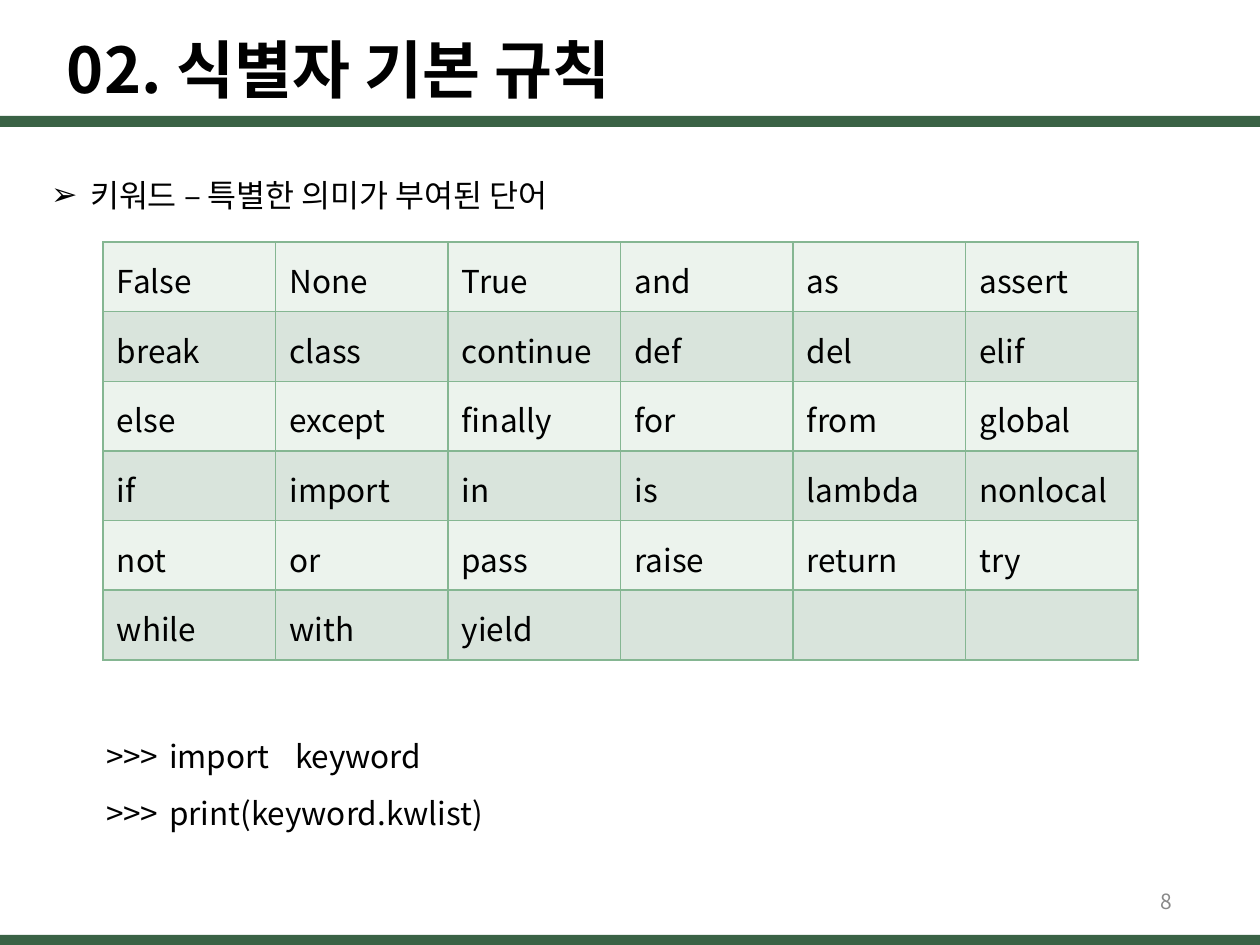
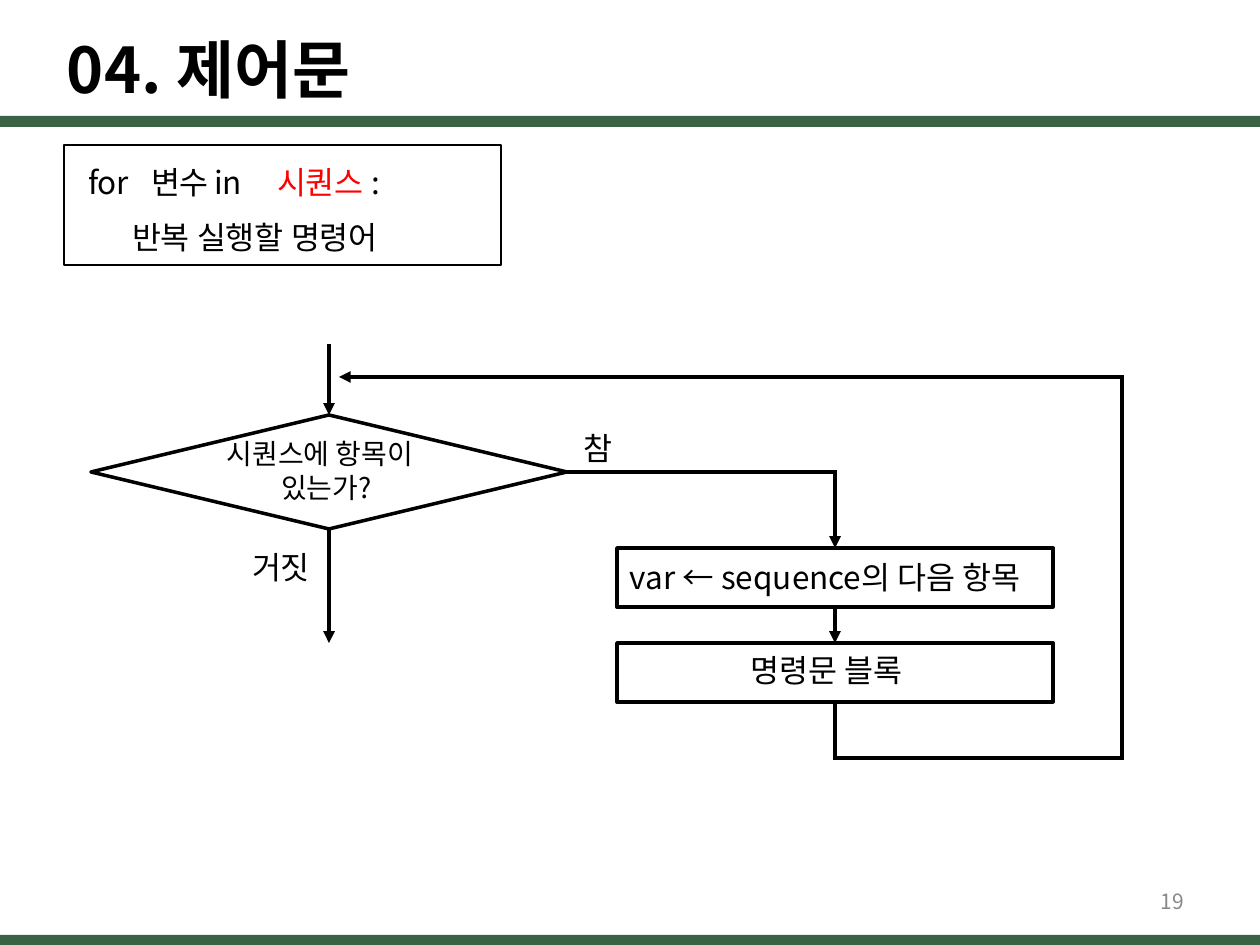
import pptx
import pptx.dml.color
import pptx.enum.shapes
import pptx.enum.text
import pptx.oxml.ns
import pptx.util
from lxml import etree

EMU_PER_PX = 914400 / 126
FONT = "Noto Sans CJK KR"
ARROW_FONT = "Noto Sans CJK JP"
COLORS = {
    "text": "000000",
    "line": "000000",
    "accent": "FF0000",
    "band": "3A6245",
    "number": "888888",
    "border": "85B692",
    "odd_row": "ECF3ED",
    "even_row": "D9E4DC",
}
SHAPES = pptx.enum.shapes.MSO_SHAPE

KEYWORDS = """
False None True and as assert
break class continue def del elif
else except finally for from global
if import in is lambda nonlocal
not or pass raise return try
while with yield
"""


def px(length):
    return pptx.util.Emu(round(length * EMU_PER_PX))


def color(name):
    return pptx.dml.color.RGBColor.from_string(COLORS[name])


def add_element(parent, tag, **attributes):
    element = etree.SubElement(parent, pptx.oxml.ns.qn(tag))
    for name, value in attributes.items():
        element.set(name, str(value))
    return element


def set_font(run, size, bold, color_name, font_name):
    run.font.size = pptx.util.Pt(size)
    run.font.bold = bold
    run.font.color.rgb = color(color_name)
    run.font.name = font_name
    add_element(run.font._element, "a:ea", typeface=font_name)


def set_layout(paragraph, margin, indent, bullet, tabs):
    """Set the indents, bullet and tab stops of a paragraph."""
    properties = paragraph._p.get_or_add_pPr()
    properties.set("marL", str(px(margin)))
    properties.set("indent", str(px(indent)))
    if bullet:
        add_element(properties, "a:buChar", char=bullet)
    if tabs:
        tab_list = add_element(properties, "a:tabLst")
        for position in tabs:
            add_element(tab_list, "a:tab", pos=px(position), algn="l")


def write(frame, text, size=18, bold=False, color_name="text", inset=(0, 1),
          margin=1, indent=0, bullet=None, tabs=(), space_before=0):
    """Fill a frame; text is a string or a list of run lists, one a paragraph.

    A run is a string or a pair of a string and its own font settings.
    """
    frame.word_wrap = True
    frame.auto_size = pptx.enum.text.MSO_AUTO_SIZE.NONE
    frame.vertical_anchor = pptx.enum.text.MSO_ANCHOR.TOP
    frame.margin_left, frame.margin_top = map(px, inset)
    frame.margin_right = frame.margin_bottom = 0
    paragraphs = [[text]] if isinstance(text, str) else text
    for index, runs in enumerate(paragraphs):
        paragraph = frame.add_paragraph() if index else frame.paragraphs[0]
        set_layout(paragraph, margin, indent, bullet, tabs)
        paragraph.alignment = pptx.enum.text.PP_ALIGN.LEFT
        paragraph.space_before = pptx.util.Pt(space_before if index else 0)
        for item in runs:
            words, changes = (item, {}) if isinstance(item, str) else item
            run = paragraph.add_run()
            run.text = words
            settings = dict(size=size, bold=bold, color_name=color_name, font_name=FONT)
            set_font(run, **(settings | changes))


def add_label(slide, box, text, **text_format):
    shape = slide.shapes.add_textbox(*map(px, box))
    write(shape.text_frame, text, **text_format)


def fill_placeholder(placeholder, box, text, **text_format):
    placeholder.left, placeholder.top, placeholder.width, placeholder.height = map(px, box)
    write(placeholder.text_frame, text, **text_format)


def add_outline(slide, kind, box, width=2):
    shape = slide.shapes.add_shape(kind, *map(px, box))
    shape.shadow.inherit = False
    shape.fill.background()
    shape.line.color.rgb = color("line")
    shape.line.width = pptx.util.Pt(width)
    return shape


def add_band(slide, top, height):
    band = slide.shapes.add_shape(SHAPES.RECTANGLE, *map(px, (0, top, 1260, height)))
    band.shadow.inherit = False
    band.fill.solid()
    band.fill.fore_color.rgb = color("band")
    band.line.fill.background()


def add_slide(presentation, layout_index, title, title_width, number):
    """Add a slide with its title, green bands and page number."""
    slide = presentation.slides.add_slide(presentation.slide_layouts[layout_index])
    fill_placeholder(slide.shapes.title, (66, 29, title_width, 79), title,
                     size=36, bold=True)
    add_band(slide, 116, 11)
    add_band(slide, 935, 10)
    add_label(slide, (1158, 885, 30, 31), str(number), size=12,
              color_name="number", inset=(0, 4), margin=3)
    return slide


def style_arrow(line):
    line.color.rgb = color("line")
    line.width = pptx.util.Pt(2.25)
    properties = line._get_or_add_ln()
    add_element(properties, "a:miter", lim=800000)
    add_element(properties, "a:tailEnd", type="triangle")


def add_arrow(slide, start, end, source=None, target=None):
    """Add a straight arrow, joined below source and above target."""
    arrow = slide.shapes.add_connector(
        pptx.enum.shapes.MSO_CONNECTOR.STRAIGHT, *map(px, (*start, *end)))
    if source is not None:
        arrow.begin_connect(source, 2)
    if target is not None:
        arrow.end_connect(target, 0)
    style_arrow(arrow.line)
    add_element(arrow._element.spPr, "a:effectLst")


def add_bent_arrow(slide, start, *corners):
    builder = slide.shapes.build_freeform(*start, scale=EMU_PER_PX)
    builder.add_line_segments(corners, close=False)
    shape = builder.convert_to_shape()
    shape.shadow.inherit = False
    shape.fill.background()
    style_arrow(shape.line)


def set_borders(cell):
    properties = cell._tc.get_or_add_tcPr()
    for side in ("a:lnL", "a:lnR", "a:lnT", "a:lnB"):
        border = add_element(properties, side, w=pptx.util.Pt(1))
        fill = add_element(border, "a:solidFill")
        add_element(fill, "a:srgbClr", val=COLORS["border"])


def add_word_table(slide, box, rows):
    column_count = max(map(len, rows))
    table = slide.shapes.add_table(len(rows), column_count, *map(px, box)).table
    table.first_row = table.horz_banding = False
    for row_index, words in enumerate(rows):
        for column in range(column_count):
            cell = table.cell(row_index, column)
            set_borders(cell)
            cell.fill.solid()
            cell.fill.fore_color.rgb = color("even_row" if row_index % 2 else "odd_row")
            cell.margin_left, cell.margin_top = px(14), px(15)
            cell.margin_right = cell.margin_bottom = 0
            if column < len(words):
                run = cell.text_frame.paragraphs[0].add_run()
                run.text = words[column]
                set_font(run, 18, False, "text", FONT)


def build_keyword_slide(presentation):
    slide = add_slide(presentation, 1, "02. 식별자 기본 규칙", 601, 8)
    fill_placeholder(slide.placeholders[1], (49, 175, 556, 42),
                     "키워드 – 특별한 의미가 부여된 단어",
                     margin=41, indent=-39, bullet="➢", tabs=[41])
    rows = [line.split() for line in KEYWORDS.strip().splitlines()]
    add_word_table(slide, (103, 242, 1035, 418), rows)
    add_label(slide, (105, 717, 384, 117),
              [[">>>\timport\tkeyword"], [">>>\tprint(keyword.kwlist)"]],
              inset=(0, 20), tabs=[91, 209], space_before=10.8)


def build_loop_slide(presentation):
    slide = add_slide(presentation, 5, "04. 제어문", 304, 19)

    add_outline(slide, SHAPES.RECTANGLE, (64, 145, 437, 120), width=0.75)
    add_label(slide, (64, 145, 437, 63),
              [["for\t변수\tin\t", ("시퀀스 ", {"color_name": "accent"}), ":"]],
              inset=(0, 18), margin=24, tabs=[97, 183, 231])
    add_label(slide, (64, 217, 437, 48), "반복 실행할 명령어", margin=68)

    condition = add_outline(slide, SHAPES.DIAMOND, (91, 415, 476, 114))
    next_item = add_outline(slide, SHAPES.RECTANGLE, (617, 548, 436, 59))
    block = add_outline(slide, SHAPES.RECTANGLE, (617, 643, 436, 59))

    add_arrow(slide, (329, 344), (329, 415), target=condition)
    add_arrow(slide, (329, 529), (329, 643), source=condition)
    add_arrow(slide, (835, 607), (835, 643), source=next_item, target=block)
    add_bent_arrow(slide, (567, 472), (835, 472), (835, 548))
    add_bent_arrow(slide, (835, 702), (835, 758), (1122, 758), (1122, 377), (339, 377))

    add_label(slide, (224, 436, 209, 71), "시퀀스에 항목이 있는가?",
              size=16, margin=57, indent=-54)
    add_label(slide, (629, 557, 413, 42),
              [["var ", ("← ", {"font_name": ARROW_FONT}), "sequence의 다음 항목"]])
    add_label(slide, (750, 650, 173, 42), "명령문 블록")
    add_label(slide, (251, 547, 67, 42), "거짓")
    add_label(slide, (583, 428, 36, 42), "참")


def main():
    presentation = pptx.Presentation()
    presentation.slide_width, presentation.slide_height = px(1260), px(945)
    build_keyword_slide(presentation)
    build_loop_slide(presentation)
    presentation.save("out.pptx")


if __name__ == "__main__":
    main()
